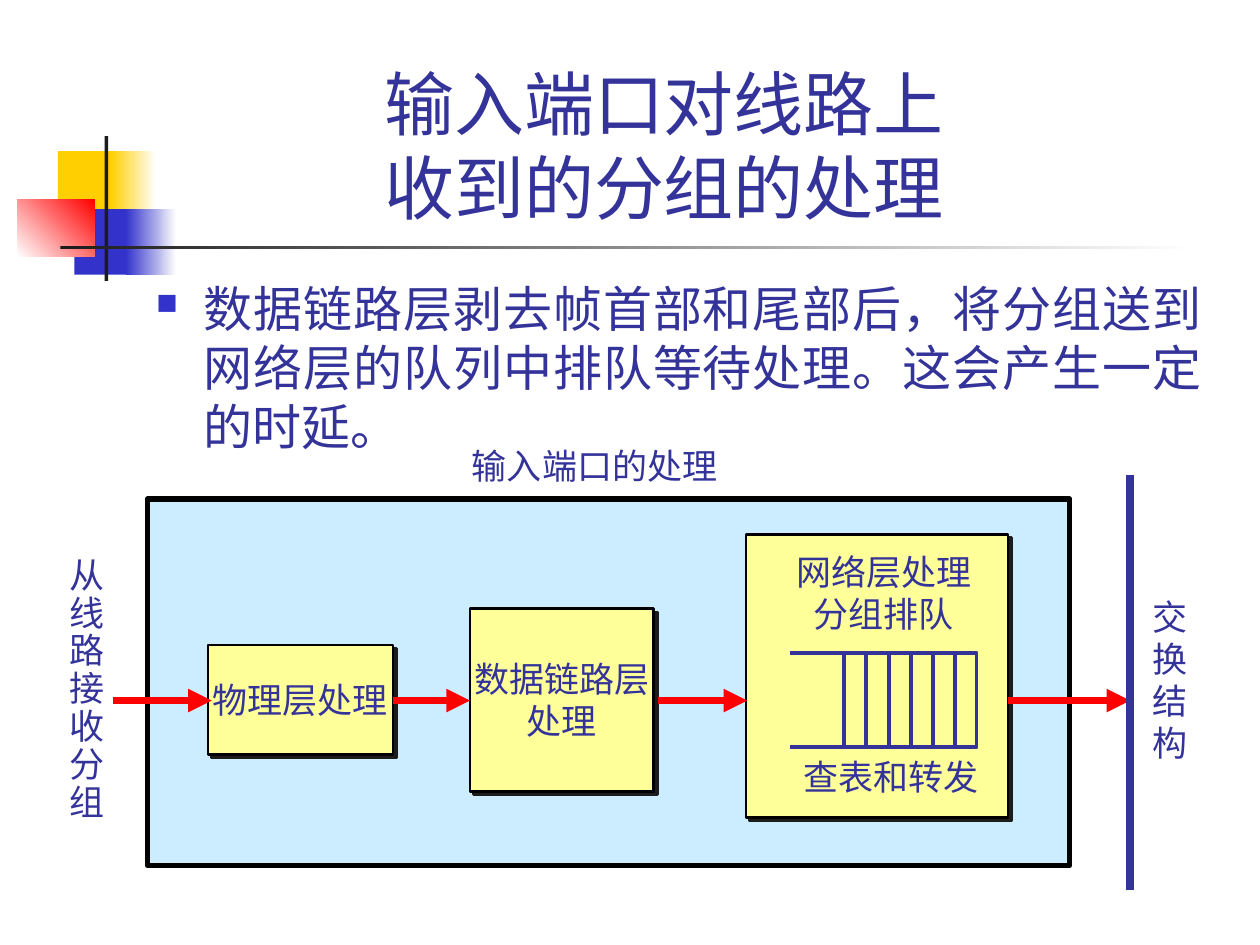
from lxml import etree
from pptx import Presentation
from pptx.dml.color import RGBColor
from pptx.enum.shapes import MSO_CONNECTOR, MSO_SHAPE
from pptx.enum.text import MSO_ANCHOR, PP_ALIGN
from pptx.oxml.ns import qn
from pptx.util import Inches, Pt

RECT, STRAIGHT = MSO_SHAPE.RECTANGLE, MSO_CONNECTOR.STRAIGHT
CENTER, JUSTIFY = PP_ALIGN.CENTER, PP_ALIGN.JUSTIFY
TOP, MIDDLE, BOTTOM = MSO_ANCHOR.TOP, MSO_ANCHOR.MIDDLE, MSO_ANCHOR.BOTTOM
rgb = RGBColor.from_string
INK, YELLOW, BLACK, RED = "333399", "FFFF99", "000000", "FF0000"
WHITE, GOLD, BLUE, DARK = "FFFFFF", "FFCF01", "3333CC", "1C1C1C"

prs = Presentation()
prs.slide_width, prs.slide_height = Inches(10), Inches(7.5)
slide = prs.slides.add_slide(prs.slide_layouts[6])
shapes = slide.shapes
CELL = prs.slide_width // 1000  # grid of 1000 columns by 750 rows


def add_block(area, fill, border=0):
    block = shapes.add_shape(RECT, *(n * CELL for n in area))
    block.shadow.inherit = False
    block.fill.solid()
    block.fill.fore_color.rgb = rgb(fill)
    if border:
        block.line.color.rgb = rgb(BLACK)
        block.line.width = Pt(border)
    else:
        block.line.fill.background()
    return block


def write(shape, text, size=20, align=CENTER, anchor=TOP, wrap=False, spacing=None):
    frame = shape.text_frame
    frame.text = text
    frame.word_wrap = wrap
    frame.vertical_anchor = anchor
    for paragraph in frame.paragraphs:
        paragraph.alignment = align
        paragraph.line_spacing = spacing
        paragraph.font.size = Pt(size)
        paragraph.font.name = "Arial"
        paragraph.font.color.rgb = rgb(INK)


# Corner ornament: start colour, end colour, angle
for area, start, end, angle in [
    ((46, 120, 48, 52), GOLD, None, 0),
    ((88, 120, 36, 52), GOLD, WHITE, 0),
    ((59, 166, 46, 52), BLUE, None, 0),
    ((100, 166, 40, 52), BLUE, WHITE, 0),
    ((14, 158, 61, 46), WHITE, RED, 45),
    ((83, 108, 3, 115), DARK, None, 0),
    ((48, 195, 900, 3), DARK, WHITE, 0),
]:
    ornament = add_block(area, start)
    if end:
        ornament.fill.gradient()
        ornament.fill.gradient_angle = angle
        for stop, color in zip(ornament.fill.gradient_stops, (start, end)):
            stop.color.rgb = rgb(color)

# Title and bullet
title = shapes.add_textbox(*(n * CELL for n in (152, 102, 750, 84)))
write(title, "输入端口对线路上\v收到的分组的处理", 40, anchor=BOTTOM, wrap=True)

body = shapes.add_textbox(*(n * CELL for n in (114, 216, 850, 151)))
body.text_frame.text = "数据链路层剥去帧首部和尾部后，将分组送到网络层的队列中排队等待处理。这会产生一定的时延。"
write(body, body.text_frame.text, 28, JUSTIFY, wrap=True)
bullet = body.text_frame.paragraphs[0]._p.get_or_add_pPr()
bullet.set("marL", str(38 * CELL))
bullet.set("indent", str(-38 * CELL))
bullet_color = etree.Element(qn("a:buClr"))
etree.SubElement(bullet_color, qn("a:srgbClr"), val=BLUE)
bullet_size = etree.Element(qn("a:buSzPct"), val="60000")
bullet_mark = etree.Element(qn("a:buChar"), char="■")
for position, element in enumerate((bullet_color, bullet_size, bullet_mark)):
    bullet.insert(position, element)

# Input port with its three processing stages
add_block((117, 396, 732, 291), "CCECFF", 3)
for area, label in [
    ((165, 512, 147, 87), "物理层处理"),
    ((373, 483, 146, 145), "数据链路层\n处理"),
    ((592, 424, 208, 225), ""),
]:
    stage = add_block(area, YELLOW, 1.5)
    if label:
        write(stage, label, anchor=MIDDLE)
    effects = stage._element.spPr.find(qn("a:effectLst"))
    shadow = etree.SubElement(effects, qn("a:outerShdw"), dist=str(Pt(2.8)),
                              dir="2700000", algn="ctr", rotWithShape="0")
    etree.SubElement(shadow, qn("a:srgbClr"), val=DARK)

# Packet queue, open on the left
QUEUE_LEFT, QUEUE_RIGHT, QUEUE_TOP, QUEUE_BOTTOM = 627, 775, 518, 593
outline = shapes.build_freeform(QUEUE_LEFT, QUEUE_TOP, scale=CELL)
outline.add_line_segments([(QUEUE_RIGHT, QUEUE_TOP), (QUEUE_RIGHT, QUEUE_BOTTOM),
                           (QUEUE_LEFT, QUEUE_BOTTOM)], close=False)
queue = outline.convert_to_shape()
queue.shadow.inherit = False
queue.fill.solid()
queue.fill.fore_color.rgb = rgb(YELLOW)
queue.line.color.rgb = rgb(INK)
queue.line.width = Pt(2.25)

# Flow arrows, switching fabric and queue slots
FLOW = 556
lines = [(start, FLOW, end, FLOW, RED, 4.5)
         for start, end in ((90, 168), (312, 373), (522, 593), (800, 897))]
lines.append((897, 377, 897, 706, INK, 4.5))
lines += [(670 + 17.6 * slot, QUEUE_TOP, 670 + 17.6 * slot, QUEUE_BOTTOM, INK, 2.25)
          for slot in range(6)]
for *ends, color, width in lines:
    connector = shapes.add_connector(STRAIGHT, *(int(n * CELL) for n in ends))
    connector.line.color.rgb = rgb(color)
    connector.line.width = Pt(width)
    if color == RED:
        etree.SubElement(connector.line._get_or_add_ln(), qn("a:tailEnd"), type="triangle")
    etree.SubElement(connector._element.spPr, qn("a:effectLst"))

# Labels
for area, label, spacing in [
    ((622, 432, 159, 77), "网络层处理\n分组排队", None),
    ((905, 468, 48, 143), "交\n换\n结\n构", None),
    ((357, 348, 230, 43), "输入端口的处理", None),
    ((45, 438, 48, 220), "从\n线\n路\n接\n收\n分\n组", 0.9),
    ((628, 595, 159, 43), "查表和转发", None),
]:
    caption = shapes.add_textbox(*(n * CELL for n in area))
    write(caption, label, spacing=spacing)

prs.save("out.pptx")
